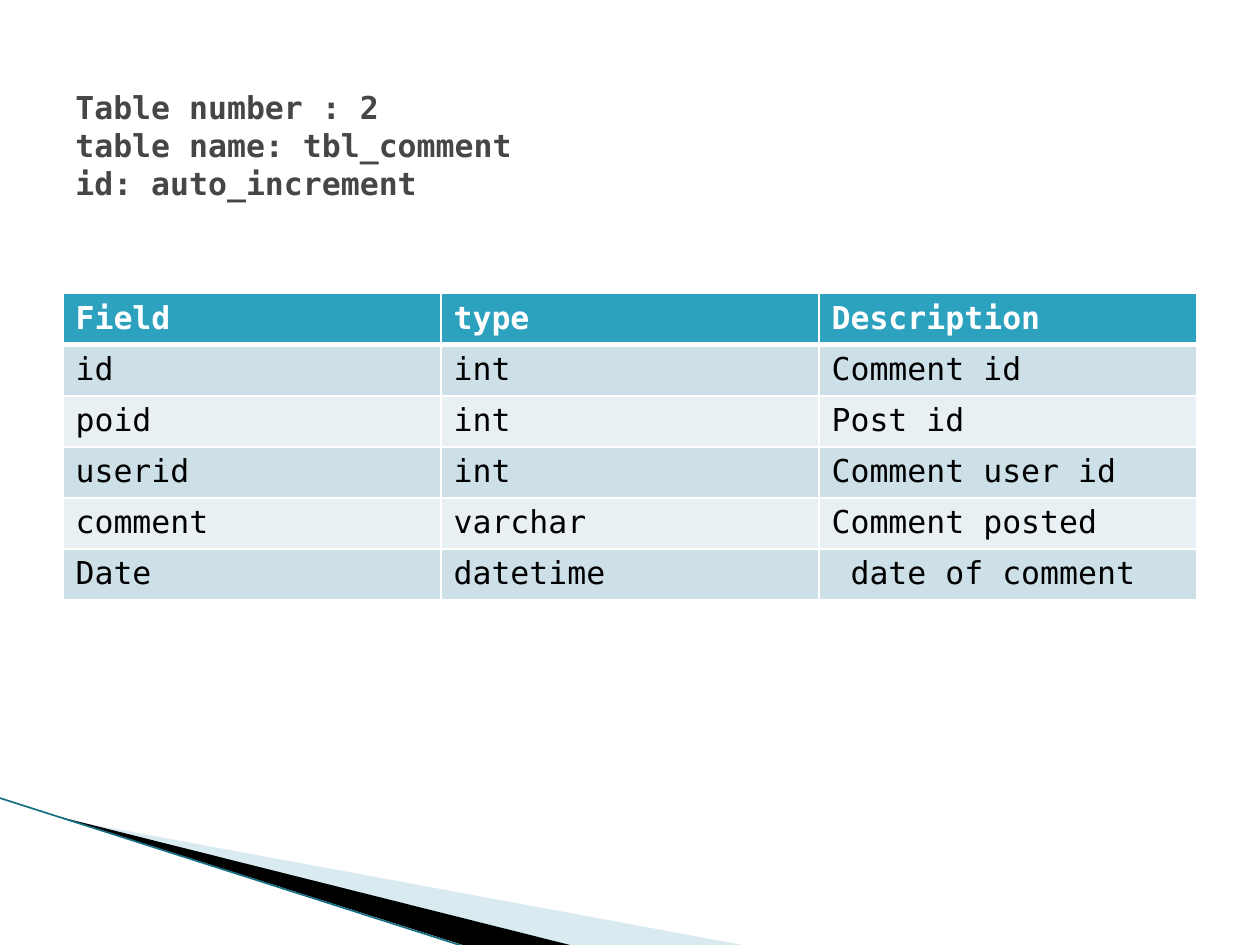
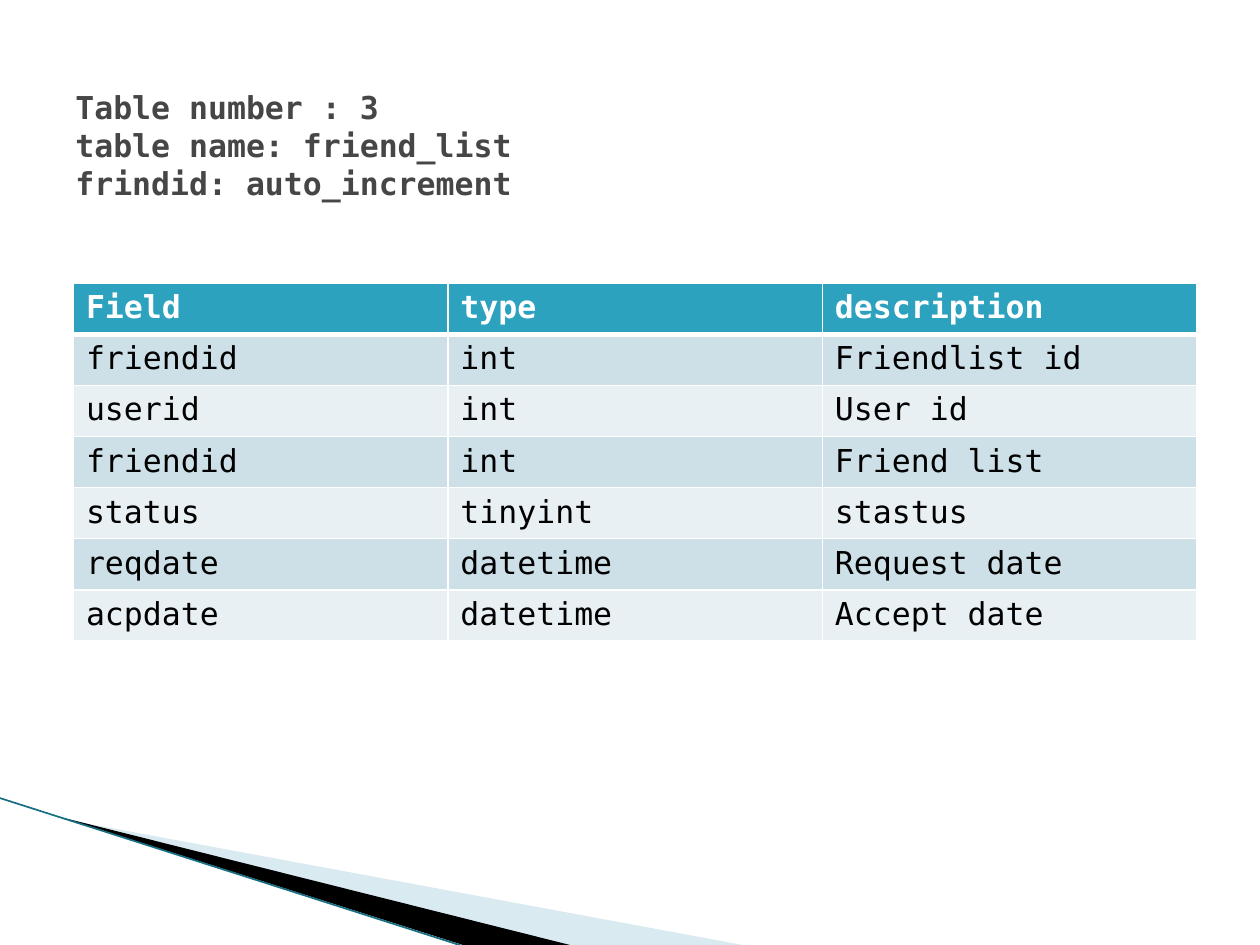
import pptx
import pptx.util
import pptx.dml.color
import pptx.enum.shapes
import pptx.enum.text
import pptx.oxml
import pptx.oxml.ns
import lxml.etree

Cm, Pt = pptx.util.Cm, pptx.util.Pt
RGBColor = pptx.dml.color.RGBColor
qn = pptx.oxml.ns.qn

FONT = "DejaVu Sans Mono"
WHITE = RGBColor(0xFF, 0xFF, 0xFF)
BLACK = RGBColor(0x00, 0x00, 0x00)
GREY = RGBColor(0x46, 0x46, 0x46)
TEAL = RGBColor(0x2D, 0xA2, 0xBF)
DEEP = RGBColor(0x16, 0x6E, 0x82)
SKY = RGBColor(0xA0, 0xCB, 0xDC)
BANDS = [RGBColor(0xE8, 0xF0, 0xF4), RGBColor(0xCD, 0xE0, 0xE8)]
ROW = 1.03

# Corner wedges: colour, opacity in percent, frame and outline in cm
WEDGES = [
    (SKY, 40, (1.98, 13.89, 10.57, 4.01),
     [(1.25, 16.51), (14.97, 19.05), (11.45, 19.05)]),
    (BLACK, 100, (-0.15, 16.08, 10.57, 2.34),
     [(1.25, 16.48), (11.49, 19.05), (9.33, 19.05)]),
]

# Title width, table place and width in cm, then the words
PAGES = [
    {
        "wide": 23.06, "table": (1.27, 5.92, 22.86),
        "title": ["Table number : 2", "table name: tbl_comment", "id: auto_increment"],
        "rows": [
            ("Field", "type", "Description"),
            ("id", "int", "Comment id"),
            ("poid", "int", "Post id"),
            ("userid", "int", "Comment user id"),
            ("comment", "varchar", "Comment posted"),
            ("Date", "datetime", " date of comment"),
        ],
    },
    {
        "wide": 22.86, "table": (1.48, 5.71, 22.65),
        "title": ["Table number : 3", "table name: friend_list", "frindid: auto_increment"],
        "rows": [
            ("Field", "type", "description"),
            ("friendid", "int", "Friendlist id"),
            ("userid", "int", "User id"),
            ("friendid", "int", "Friend list"),
            ("status", "tinyint", "stastus"),
            ("reqdate", "datetime", "Request date"),
            ("acpdate", "datetime", "Accept date"),
        ],
    },
]


def write(para, text, color, bold):
    run = para.add_run()
    run.text = text
    run.font.name = FONT
    run.font.size = Pt(18)
    run.font.bold = bold
    run.font.color.rgb = color


def edge(cell, top, base):
    """Give a cell white borders; top and base are widths in points."""
    props = cell._tc.get_or_add_tcPr()
    sides = [("L", 1), ("R", 1), ("T", top), ("B", base)]
    for spot, (side, width) in enumerate(sides):
        line = lxml.etree.Element(qn("a:ln" + side), w=str(Pt(width)))
        fill = lxml.etree.SubElement(line, qn("a:solidFill"))
        lxml.etree.SubElement(fill, qn("a:srgbClr"), val=str(WHITE))
        props.insert(spot, line)


deck = pptx.Presentation()
deck.slide_width, deck.slide_height = Cm(25.4), Cm(19.05)

for page in PAGES:
    slide = deck.slides.add_slide(deck.slide_layouts[6])
    shapes = slide.shapes

    for color, alpha, area, points in WEDGES:
        spots = [(Cm(x), Cm(y)) for x, y in points]
        pen = shapes.build_freeform(*spots[0])
        pen.add_line_segments(spots[1:], close=True)
        wedge = pen.convert_to_shape()
        wedge.shadow.inherit = False
        wedge.fill.solid()
        wedge.fill.fore_color.rgb = color
        wedge.line.fill.background()
        props = wedge._element.spPr
        if alpha < 100:
            tint = props.find(".//" + qn("a:srgbClr"))
            lxml.etree.SubElement(tint, qn("a:alpha"), val=str(alpha * 1000))

        # The outline reaches beyond its frame, so its points are set from the frame's corner
        left, top, wide, high = [Cm(size) for size in area]
        wedge.left, wedge.top, wedge.width, wedge.height = left, top, wide, high
        trace = props.find(".//" + qn("a:path"))
        trace.set("w", str(wide))
        trace.set("h", str(high))
        for dot, (x, y) in zip(trace.iter(qn("a:pt")), spots):
            dot.set("x", str(x - left))
            dot.set("y", str(y - top))

    rule = shapes.add_connector(
        pptx.enum.shapes.MSO_CONNECTOR.STRAIGHT, Cm(-0.03), Cm(16.08), Cm(9.42), Cm(19.1))
    rule.line.color.rgb = DEEP
    rule.line.width = Pt(0.95)
    lxml.etree.SubElement(rule._element.spPr, qn("a:effectLst"))

    left, top, wide = page["table"]
    rows = page["rows"]
    grid = shapes.add_table(
        len(rows), 3, Cm(left), Cm(top), Cm(wide), Cm(ROW * len(rows))).table
    for r, words in enumerate(rows):
        grid.rows[r].height = Cm(ROW)
        head = r == 0
        for c, word in enumerate(words):
            cell = grid.cell(r, c)
            cell.fill.solid()
            cell.fill.fore_color.rgb = TEAL if head else BANDS[r % 2]
            edge(cell, 3 if r == 1 else 1, 3 if head else 1)
            write(cell.text_frame.paragraphs[0], word, WHITE if head else BLACK, head)

    box = shapes.add_textbox(Cm(1.27), Cm(0.76), Cm(page["wide"]), Cm(4.32))
    frame = box.text_frame
    frame.word_wrap = True
    frame.vertical_anchor = pptx.enum.text.MSO_ANCHOR.MIDDLE
    para = frame.paragraphs[0]
    for n, text in enumerate(page["title"]):
        if n:
            para.add_line_break()
        write(para, text, GREY, True)

deck.save("out.pptx")
